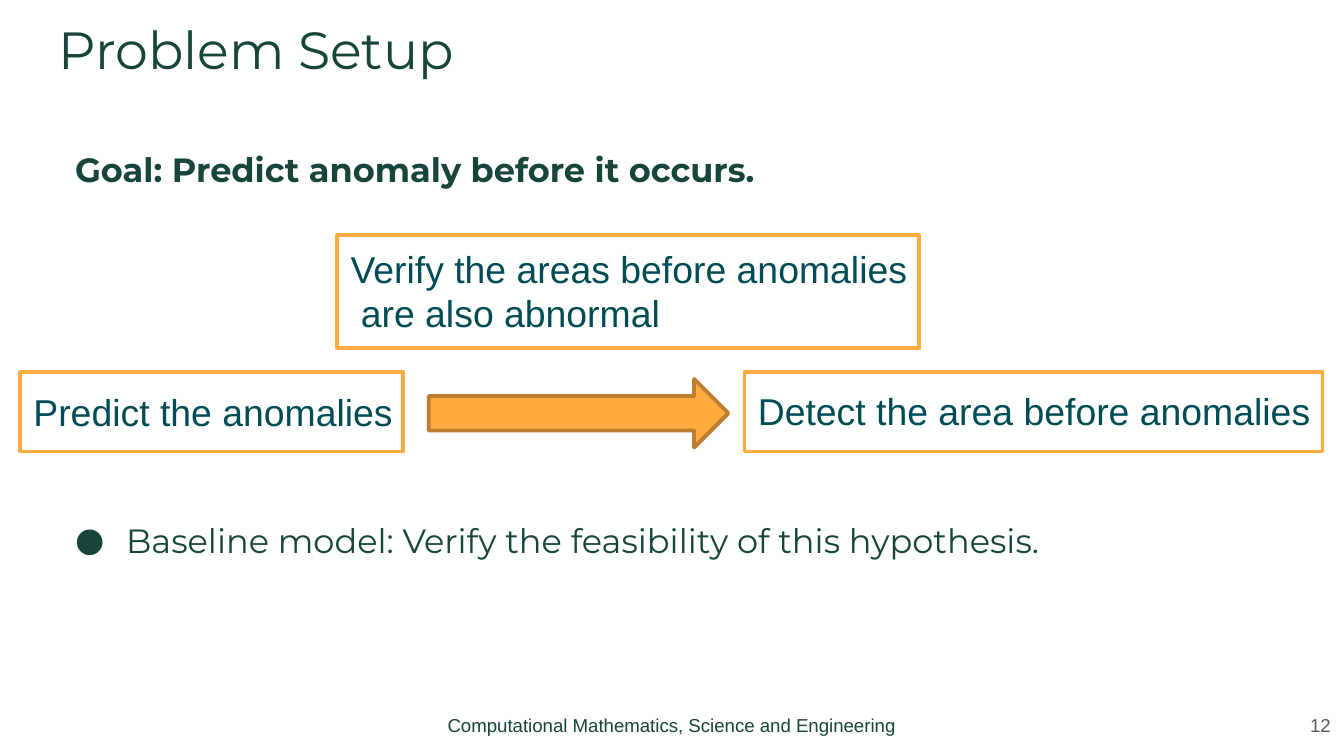
"""Build the Problem Setup slide with its anomaly prediction flow."""
import pptx
import pptx.dml.color
import pptx.enum.shapes
import pptx.enum.text
import pptx.oxml
import pptx.oxml.ns
import pptx.util
from pptx.util import Inches

RGBColor = pptx.dml.color.RGBColor
GREEN = RGBColor(0x18, 0x45, 0x3B)
TEAL = RGBColor(0x00, 0x4C, 0x54)
GRAY = RGBColor(0x59, 0x59, 0x59)
ORANGE = RGBColor(0xFF, 0xAB, 0x40)
BROWN = RGBColor(0xBD, 0x7F, 0x2F)

ALIGN = pptx.enum.text.PP_ALIGN
ANCHOR = pptx.enum.text.MSO_ANCHOR
SHAPES = pptx.enum.shapes.MSO_SHAPE

TITLE = "Problem Setup"
GOAL = "Goal: Predict anomaly before it occurs."
BASELINE = "Baseline model: Verify the feasibility of this hypothesis."
FOOTER = "Computational Mathematics, Science and Engineering"
PAGE_NUMBER = "12"
STEPS = [
    ("Predict the anomalies", (0.15, 2.77, 2.85, 0.59), (0.15, 2.85, 3.61, 0.44)),
    ("Detect the area before anomalies", (5.54, 2.77, 4.3, 0.59), (5.54, 2.84, 4.39, 0.44)),
    ("Verify the areas before anomalies\v are also abnormal",
     (2.51, 1.75, 4.33, 0.84), (2.51, 1.78, 4.42, 0.77)),
]
ARROW_BOX = (3.19, 2.82, 2.23, 0.51)


def add_text(slide, box, text, size, font, color, align=ALIGN.LEFT,
             anchor=ANCHOR.TOP, vertical_inset=0.1):
    shape = slide.shapes.add_textbox(*map(Inches, box))
    frame = shape.text_frame
    frame.text = text
    frame.word_wrap = True
    frame.vertical_anchor = anchor
    frame.margin_left = frame.margin_right = Inches(0.1)
    frame.margin_top = frame.margin_bottom = Inches(vertical_inset)
    for paragraph in frame.paragraphs:
        paragraph.alignment = align
        for run in paragraph.runs:
            run.font.size = pptx.util.Pt(size)
            run.font.name = font
            run.font.color.rgb = color
    return frame


def add_outline(slide, kind, box, line, fill=None):
    shape = slide.shapes.add_shape(kind, *map(Inches, box))
    shape.shadow.inherit = False
    shape.line.color.rgb = line
    shape.line.width = pptx.util.Pt(2)
    if fill is None:
        shape.fill.background()
    else:
        shape.fill.solid()
        shape.fill.fore_color.rgb = fill


def set_indent(paragraph, left, first, bullet=None):
    properties = paragraph._p.get_or_add_pPr()
    properties.set("marL", str(Inches(left)))
    properties.set("indent", str(Inches(first)))
    if bullet:
        namespace = pptx.oxml.ns.nsdecls("a")
        for markup in (
            f'<a:buClr {namespace}><a:srgbClr val="{GREEN}"/></a:buClr>',
            f'<a:buFont {namespace} typeface="Montserrat"/>',
            f'<a:buChar {namespace} char="{bullet}"/>',
        ):
            properties.append(pptx.oxml.parse_xml(markup))


def main():
    presentation = pptx.Presentation()
    presentation.slide_width = Inches(10)
    presentation.slide_height = presentation.slide_width * 9 // 16
    slide = presentation.slides.add_slide(presentation.slide_layouts[6])

    add_text(slide, (3.22, 5.23, 3.55, 0.38), FOOTER, 10, "Arial", GREEN, ALIGN.CENTER)
    add_text(slide, (0.34, 0.03, 9.32, 0.63), TITLE, 28, "Montserrat", GREEN)

    body = add_text(slide, (0.34, 0.96, 9.32, 3.92), f"{GOAL}\n{BASELINE}",
                    18, "Montserrat", GREEN)
    goal, baseline = body.paragraphs
    goal.line_spacing = baseline.line_spacing = 1.15
    goal.runs[0].font.bold = True
    baseline.space_before = pptx.util.Pt(174)
    set_indent(goal, 0.12, 0)
    set_indent(baseline, 0.5, -0.38, "●")

    add_text(slide, (9.4, 5.18, 0.6, 0.43), PAGE_NUMBER, 10, "Arial", GRAY,
             ALIGN.RIGHT, ANCHOR.MIDDLE)

    add_outline(slide, SHAPES.RIGHT_ARROW, ARROW_BOX, BROWN, ORANGE)
    for text, outline_box, text_box in STEPS:
        add_outline(slide, SHAPES.RECTANGLE, outline_box, ORANGE)
        add_text(slide, text_box, text, 20, "Arial", TEAL, vertical_inset=0.05)

    presentation.save("out.pptx")


if __name__ == "__main__":
    main()
